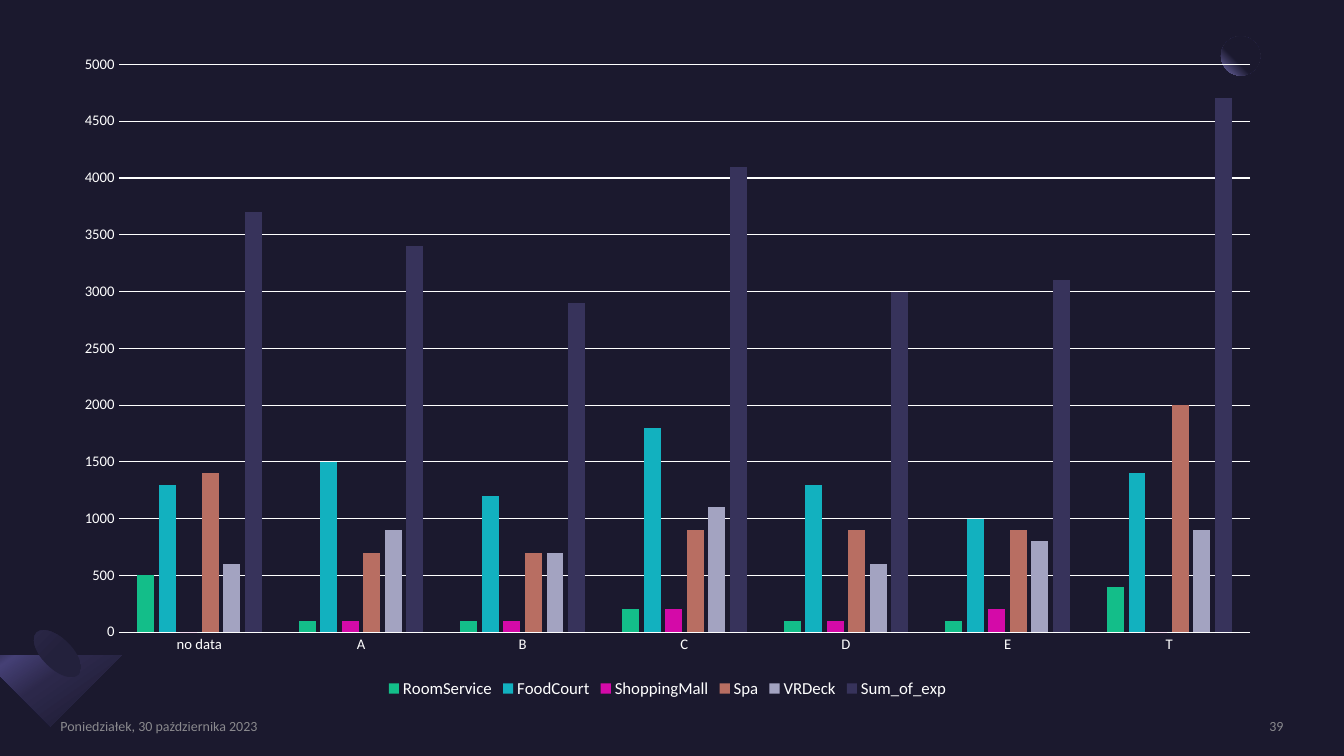
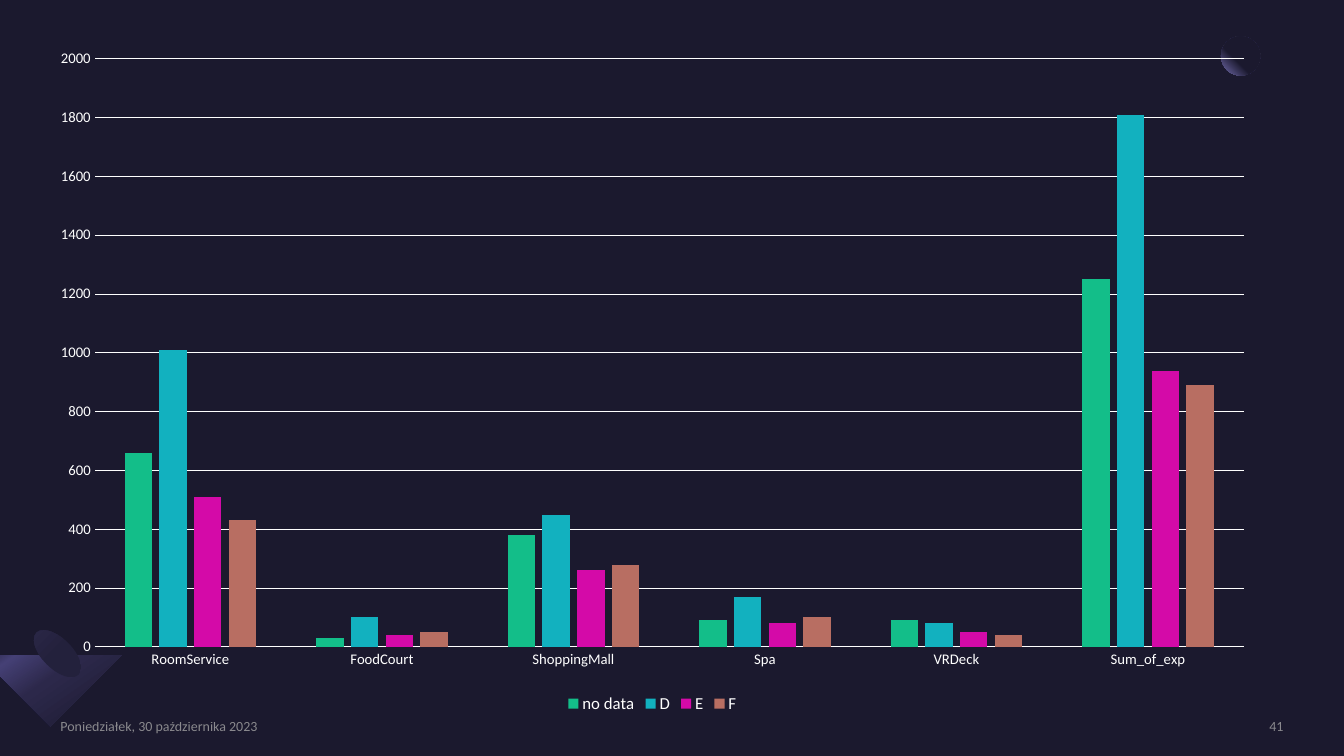
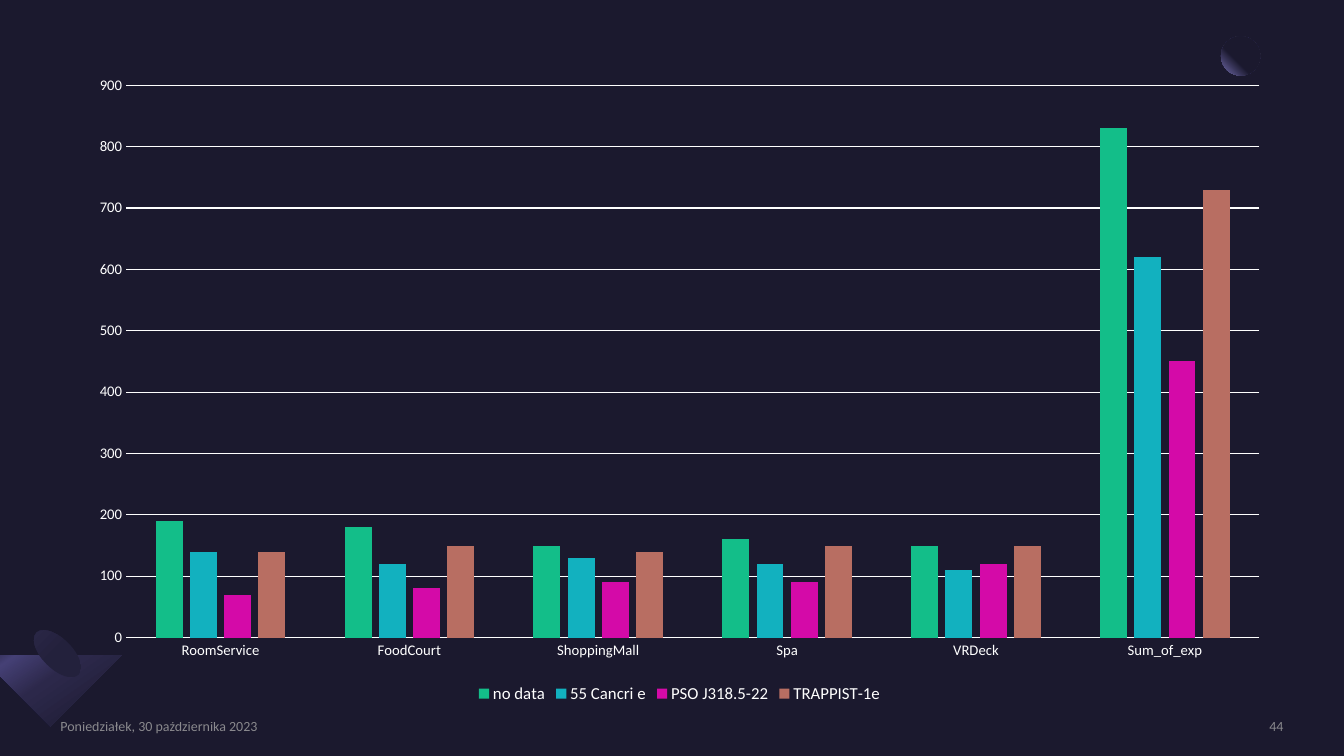
from dataclasses import dataclass
from math import cos, pi, sin

from pptx import Presentation
from pptx.chart.data import CategoryChartData
from pptx.dml.color import RGBColor
from pptx.enum.chart import XL_CHART_TYPE, XL_LEGEND_POSITION, XL_TICK_MARK
from pptx.enum.shapes import MSO_SHAPE
from pptx.enum.text import MSO_ANCHOR, PP_ALIGN
from pptx.oxml import parse_xml
from pptx.oxml.ns import nsdecls
from pptx.util import Inches, Pt


@dataclass(frozen=True)
class Theme:
    font: str = "Calibri"
    background: str = "1B192E"
    text: str = "FFFFFF"
    footer: str = "A6A6A6"
    footer_opacity: int = 80
    series: tuple = ("13BE89", "12B1BF", "D40AA8", "B86E62", "A3A3C1", "37335B")
    planet: tuple = ((60, "1B192E"), (100, "7771B2"))
    cone: tuple = ((30, "2C284A"), (40, "454075"), (60, "2C284A"), (100, "1B192E"))
    cone_base: tuple = ((50, "23213C"), (100, "2C284A"))
    footer_size: float = 10
    chart_size: float = 10
    axis_size: float = 10.5
    legend_size: float = 12
    line_width: float = 0.75


THEME = Theme()
DATE = "Poniedziałek, 30 października 2023"
EXPENSES = ("RoomService", "FoodCourt", "ShoppingMall", "Spa", "VRDeck", "Sum_of_exp")
CORNER_FOCUS = ('<a:path path="circle">'
                '<a:fillToRect l="100000" t="0" r="0" b="100000"/></a:path>')


@dataclass(frozen=True)
class ChartSlide:
    number: int
    box: tuple
    maximum: int
    step: int
    categories: tuple
    series: dict


CHART_SLIDES = (
    ChartSlide(39, (0.6, 0.42, 12.04, 6.55), 5000, 500,
               ("no data", "A", "B", "C", "D", "E", "T"),
               dict(zip(EXPENSES, (
                   (500, 100, 100, 200, 100, 100, 400),
                   (1300, 1500, 1200, 1800, 1300, 1000, 1400),
                   (0, 100, 100, 200, 100, 200, 0),
                   (1400, 700, 700, 900, 900, 900, 2000),
                   (600, 900, 700, 1100, 600, 800, 900),
                   (3700, 3400, 2900, 4100, 3000, 3100, 4700))))),
    ChartSlide(41, (0.36, 0.36, 12.22, 6.76), 2000, 200, EXPENSES, {
        "no data": (660, 30, 380, 90, 90, 1250),
        "D": (1010, 100, 450, 170, 80, 1810),
        "E": (510, 40, 260, 80, 50, 940),
        "F": (430, 50, 280, 100, 40, 890)}),
    ChartSlide(44, (0.75, 0.63, 11.98, 6.39), 900, 100, EXPENSES, {
        "no data": (190, 180, 150, 160, 150, 830),
        "55 Cancri e": (140, 120, 130, 120, 110, 620),
        "PSO J318.5-22": (70, 80, 90, 90, 120, 450),
        "TRAPPIST-1e": (140, 150, 140, 150, 150, 730)}),
)


def linear(angle):
    return f'<a:lin ang="{angle * 60000}" scaled="0"/>'


def style_gradient(shape, stops, direction):
    """Fill a shape with (percent, colour) stops and remove its line and shadow."""
    stop_list = "".join(
        f'<a:gs pos="{percent * 1000}"><a:srgbClr val="{color}"/></a:gs>'
        for percent, color in stops)
    gradient = parse_xml(
        f'<a:gradFill {nsdecls("a")} rotWithShape="1">'
        f'<a:gsLst>{stop_list}</a:gsLst>{direction}</a:gradFill>')
    shape.shadow.inherit = False
    shape.line.fill.background()
    shape.fill.solid()
    properties = shape.element.spPr
    properties.replace(properties.find("{*}solidFill"), gradient)


def add_gradient_ellipse(slide, box, stops, direction, rotation=0):
    shape = slide.shapes.add_shape(MSO_SHAPE.OVAL, *map(Inches, box))
    shape.rotation = rotation
    style_gradient(shape, stops, direction)


def add_cone(slide):
    """Draw an upright cone with a half-ellipse foot, then tilt it."""
    center, apex, foot = 0.7, 6, 6.54
    radius_x, radius_y = 0.29, 0.15
    steps = 24
    arc = [(center + radius_x * cos(pi * step / steps),
            foot + radius_y * sin(pi * step / steps)) for step in range(steps + 1)]
    builder = slide.shapes.build_freeform(center, apex, scale=Inches(1))
    builder.add_line_segments(arc, close=True)
    cone = builder.convert_to_shape()
    cone.rotation = 45
    style_gradient(cone, THEME.cone, linear(10))
    add_gradient_ellipse(slide, (0.42, 6.19, 0.3, 0.59), THEME.cone_base,
                         linear(90), rotation=135)


def add_footer(slide, text, left, width, alignment):
    frame = slide.shapes.add_textbox(
        *map(Inches, (left, 7.12, width, 0.17))).text_frame
    frame.word_wrap = True
    frame.vertical_anchor = MSO_ANCHOR.MIDDLE
    frame.margin_left = frame.margin_right = 0
    frame.margin_top = frame.margin_bottom = 0
    paragraph = frame.paragraphs[0]
    paragraph.alignment = alignment
    run = paragraph.add_run()
    run.text = text
    style_font(run.font, THEME.footer_size, THEME.footer)
    color = run.font.fill._xPr.find(".//{*}srgbClr")
    color.append(parse_xml(
        f'<a:alpha {nsdecls("a")} val="{THEME.footer_opacity * 1000}"/>'))


def style_font(font, size, color=THEME.text):
    font.name = THEME.font
    font.size = Pt(size)
    font.color.rgb = RGBColor.from_string(color)


def style_line(line):
    line.color.rgb = RGBColor.from_string(THEME.text)
    line.width = Pt(THEME.line_width)


def style_axis(axis):
    axis.major_tick_mark = axis.minor_tick_mark = XL_TICK_MARK.NONE
    style_font(axis.tick_labels.font, THEME.axis_size)


def add_column_chart(slide, content):
    data = CategoryChartData(number_format="0")
    data.categories = content.categories
    for name, values in content.series.items():
        data.add_series(name, values)
    chart = slide.shapes.add_chart(
        XL_CHART_TYPE.COLUMN_CLUSTERED, *map(Inches, content.box), data).chart
    chart.has_title = False
    style_font(chart.font, THEME.chart_size)

    chart.has_legend = True
    chart.legend.position = XL_LEGEND_POSITION.BOTTOM
    chart.legend.include_in_layout = False
    style_font(chart.legend.font, THEME.legend_size)

    style_axis(chart.category_axis)
    style_line(chart.category_axis.format.line)
    value_axis = chart.value_axis
    style_axis(value_axis)
    value_axis.format.line.fill.background()
    value_axis.minimum_scale = 0
    value_axis.maximum_scale = content.maximum
    value_axis.major_unit = content.step
    value_axis.tick_labels.number_format = "0"
    value_axis.tick_labels.number_format_is_linked = False
    style_line(value_axis.major_gridlines.format.line)

    plot = chart.plots[0]
    plot.vary_by_categories = False
    plot.gap_width = 219
    plot.overlap = -27
    for series, color in zip(plot.series, THEME.series):
        series.format.fill.solid()
        series.format.fill.fore_color.rgb = RGBColor.from_string(color)


def add_chart_slide(presentation, content):
    slide = presentation.slides.add_slide(presentation.slide_layouts[6])
    background = slide.background.fill
    background.solid()
    background.fore_color.rgb = RGBColor.from_string(THEME.background)
    add_gradient_ellipse(slide, (12.11, 0.36, 0.39, 0.39), THEME.planet, CORNER_FOCUS)
    add_cone(slide)
    add_footer(slide, DATE, 0.6, 2.88, PP_ALIGN.LEFT)
    add_footer(slide, str(content.number), 10.88, 1.85, PP_ALIGN.RIGHT)
    add_column_chart(slide, content)


def main():
    presentation = Presentation()
    presentation.slide_width = Inches(13.33)
    presentation.slide_height = Inches(7.5)
    for content in CHART_SLIDES:
        add_chart_slide(presentation, content)
    presentation.save("out.pptx")


if __name__ == "__main__":
    main()
